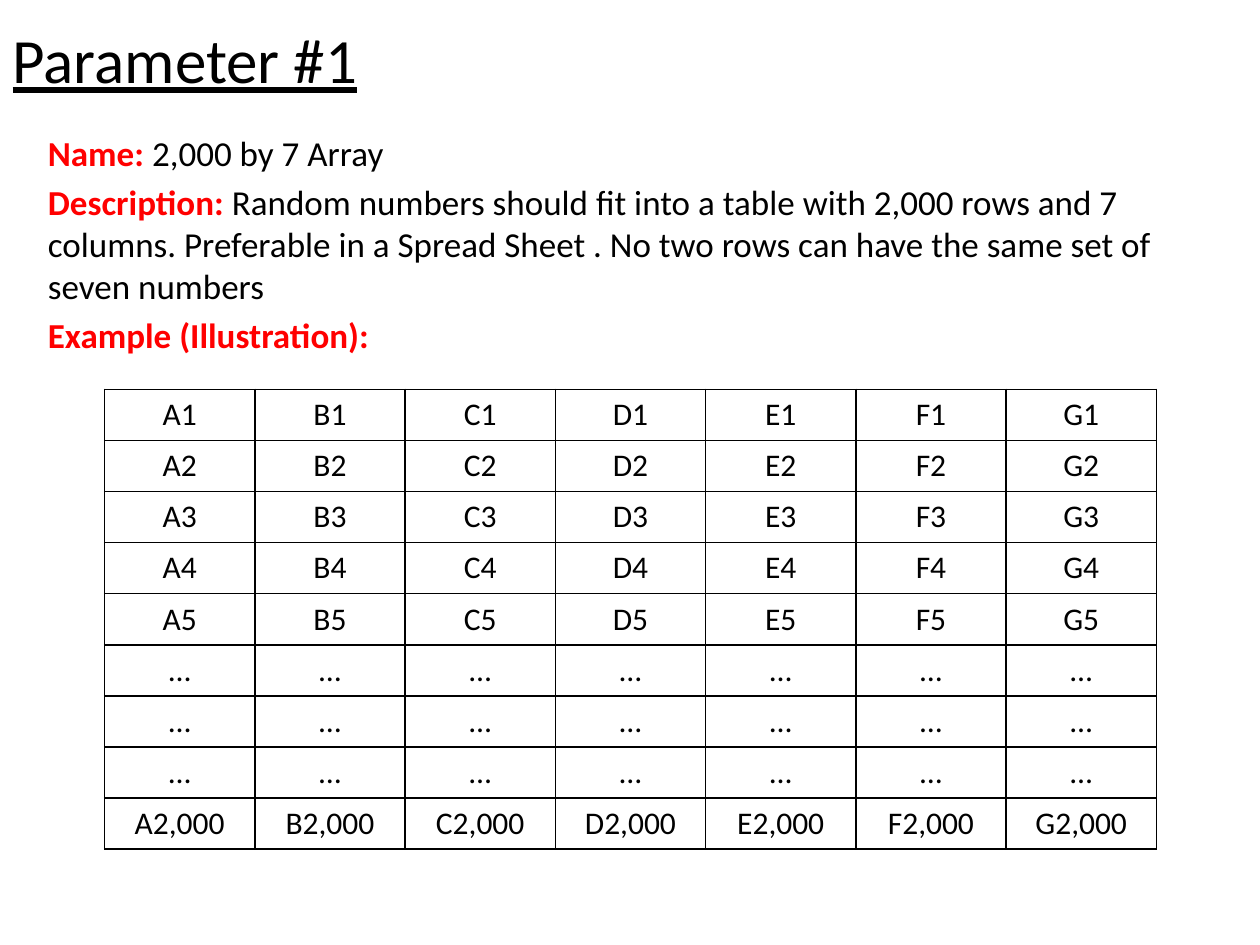
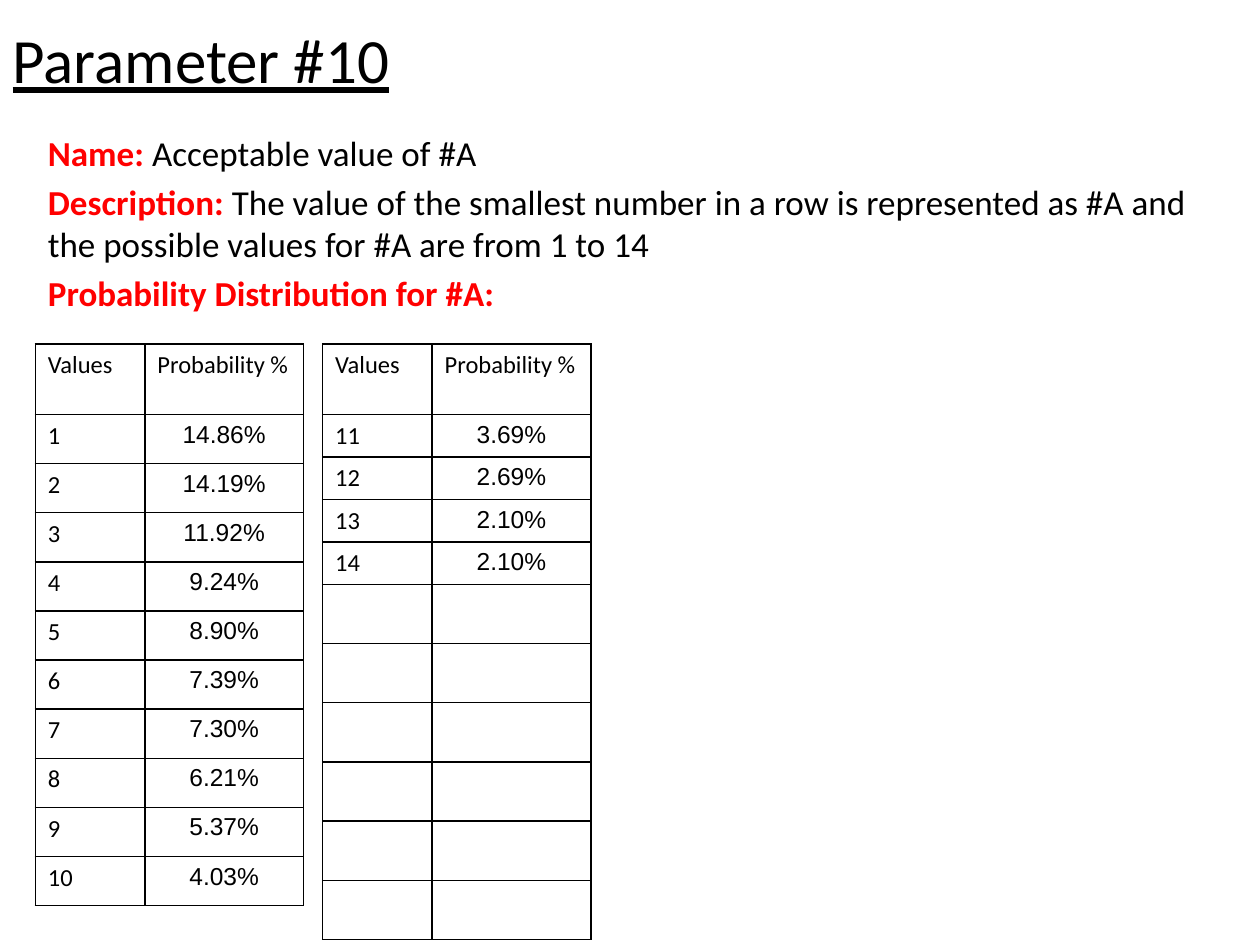
from lxml.etree import SubElement
from pptx import Presentation
from pptx.dml.color import RGBColor
from pptx.enum.text import MSO_ANCHOR as Anchor, PP_ALIGN as Align
from pptx.oxml.ns import qn
from pptx.util import Inches, Pt

BLACK, RED = "000000", "FF0000"
BODY_FONT, NUMBER_FONT = "Calibri", "Arial"
SLIDE_WIDTH, SLIDE_HEIGHT = 10, 7.5
TITLE_BOX = (0, 0, 9, 0.93)
BODY_BOX = (0.28, 0.99, 9.53, 4.95)

ARRAY_COLUMNS = "ABCDEFG"
ARRAY_ROWS = ["1", "2", "3", "4", "5", None, None, None, "2,000"]
ARRAY_BOX = (0.83, 3.09, 8.35, 3.65)

HEADINGS = ("Values", "Probability %")
PROBABILITIES = ["14.86%", "14.19%", "11.92%", "9.24%", "8.90%", "7.39%", "7.30%",
                 "6.21%", "5.37%", "4.03%", "3.69%", "2.69%", "2.10%", "2.10%"]
VALUES_PER_TABLE = 10
PROBABILITY_LEFT, PROBABILITY_TOP, PROBABILITY_STEP = 0.28, 2.73, 2.28
PROBABILITY_WIDTHS = (0.87, 1.26)
HEADING_HEIGHT = 0.56
FILLED_HEIGHTS = (0.39, 0.33)
EMPTY_HEIGHT = 0.47

SLIDES = [
    ("Parameter #1", [
        ("Name: ", "2,000 by 7 Array"),
        ("Description: ", "Random numbers should fit into a table with 2,000 rows and 7 columns. "
         "Preferable in a Spread Sheet . No two rows can have the same set of seven numbers"),
        ("Example (Illustration):", ""),
    ]),
    ("Parameter #10", [
        ("Name: ", "Acceptable value of #A"),
        ("Description: ", "The value of the smallest number in a row is represented as #A "
         "and the possible values for #A are from 1 to 14"),
        ("Probability Distribution for #A:", ""),
    ]),
]


def color(code):
    return RGBColor.from_string(code)


def add_run(paragraph, text, size, code=BLACK, name=BODY_FONT, bold=False, underline=False):
    run = paragraph.add_run()
    run.text = text
    font = run.font
    font.size, font.name, font.bold, font.underline = Pt(size), name, bold, underline
    font.color.rgb = color(code)


def place(shape, box):
    shape.left, shape.top, shape.width, shape.height = map(Inches, box)


def add_parameter_slide(presentation, title, lines):
    slide = presentation.slides.add_slide(presentation.slide_layouts[1])
    heading, body = slide.placeholders
    place(heading, TITLE_BOX)
    heading.text_frame.vertical_anchor = Anchor.MIDDLE
    paragraph = heading.text_frame.paragraphs[0]
    paragraph.alignment = Align.LEFT
    add_run(paragraph, title, 36, underline=True)

    place(body, BODY_BOX)
    frame = body.text_frame
    for index, (label, text) in enumerate(lines):
        paragraph = frame.add_paragraph() if index else frame.paragraphs[0]
        properties = paragraph._p.get_or_add_pPr()
        properties.set("marL", "0")
        properties.set("indent", "0")
        SubElement(properties, qn("a:buNone"))
        paragraph.space_before = Pt(4 if index else 0)
        add_run(paragraph, label, 20, RED, bold=True)
        if text:
            add_run(paragraph, text, 20)
    return slide


def draw_borders(cell):
    properties = cell._tc.get_or_add_tcPr()
    for side in ("lnL", "lnR", "lnT", "lnB"):
        line = SubElement(properties, qn(f"a:{side}"), w=str(Pt(0.96)))
        fill = SubElement(line, qn("a:solidFill"))
        SubElement(fill, qn("a:srgbClr"), val=BLACK)


def add_grid(slide, left, top, widths, heights, rows, size, write_style):
    frame = slide.shapes.add_table(len(heights), len(widths), Inches(left), Inches(top),
                                   Inches(sum(widths)), Inches(sum(heights)))
    table = frame.table
    table.first_row = table.horz_banding = False
    for column, width in zip(table.columns, widths):
        column.width = Inches(width)
    for row, height in zip(table.rows, heights):
        row.height = Inches(height)
    for cell in table.iter_cells():
        draw_borders(cell)
        cell.fill.background()
    for row_index, texts in enumerate(rows):
        for column_index, text in enumerate(texts):
            cell = table.cell(row_index, column_index)
            alignment, name, side_margin = write_style(row_index, column_index)
            cell.margin_left = cell.margin_right = Inches(side_margin)
            paragraph = cell.text_frame.paragraphs[0]
            paragraph.alignment = alignment
            add_run(paragraph, text, size, name=name)


def array_style(row_index, column_index):
    return Align.CENTER, BODY_FONT, 0.1


def probability_style(row_index, column_index):
    if row_index and column_index:
        return Align.CENTER, NUMBER_FONT, 0.01
    return Align.LEFT, BODY_FONT, 0.1


def add_array_table(slide):
    left, top, width, height = ARRAY_BOX
    rows = [[letter + number if number else "…" for letter in ARRAY_COLUMNS]
            for number in ARRAY_ROWS]
    widths = [width / len(ARRAY_COLUMNS)] * len(ARRAY_COLUMNS)
    heights = [height / len(rows)] * len(rows)
    add_grid(slide, left, top, widths, heights, rows, 18, array_style)


def add_probability_tables(slide):
    numbered = [(str(value), share) for value, share in enumerate(PROBABILITIES, 1)]
    for index, filled_height in enumerate(FILLED_HEIGHTS):
        start = index * VALUES_PER_TABLE
        filled = numbered[start:start + VALUES_PER_TABLE]
        heights = ([HEADING_HEIGHT] + [filled_height] * len(filled)
                   + [EMPTY_HEIGHT] * (VALUES_PER_TABLE - len(filled)))
        add_grid(slide, PROBABILITY_LEFT + index * PROBABILITY_STEP, PROBABILITY_TOP,
                 PROBABILITY_WIDTHS, heights, [HEADINGS] + filled, 14, probability_style)


def main():
    presentation = Presentation()
    presentation.slide_width = Inches(SLIDE_WIDTH)
    presentation.slide_height = Inches(SLIDE_HEIGHT)
    for (title, lines), add_tables in zip(SLIDES, (add_array_table, add_probability_tables)):
        add_tables(add_parameter_slide(presentation, title, lines))
    presentation.save("out.pptx")


if __name__ == "__main__":
    main()
